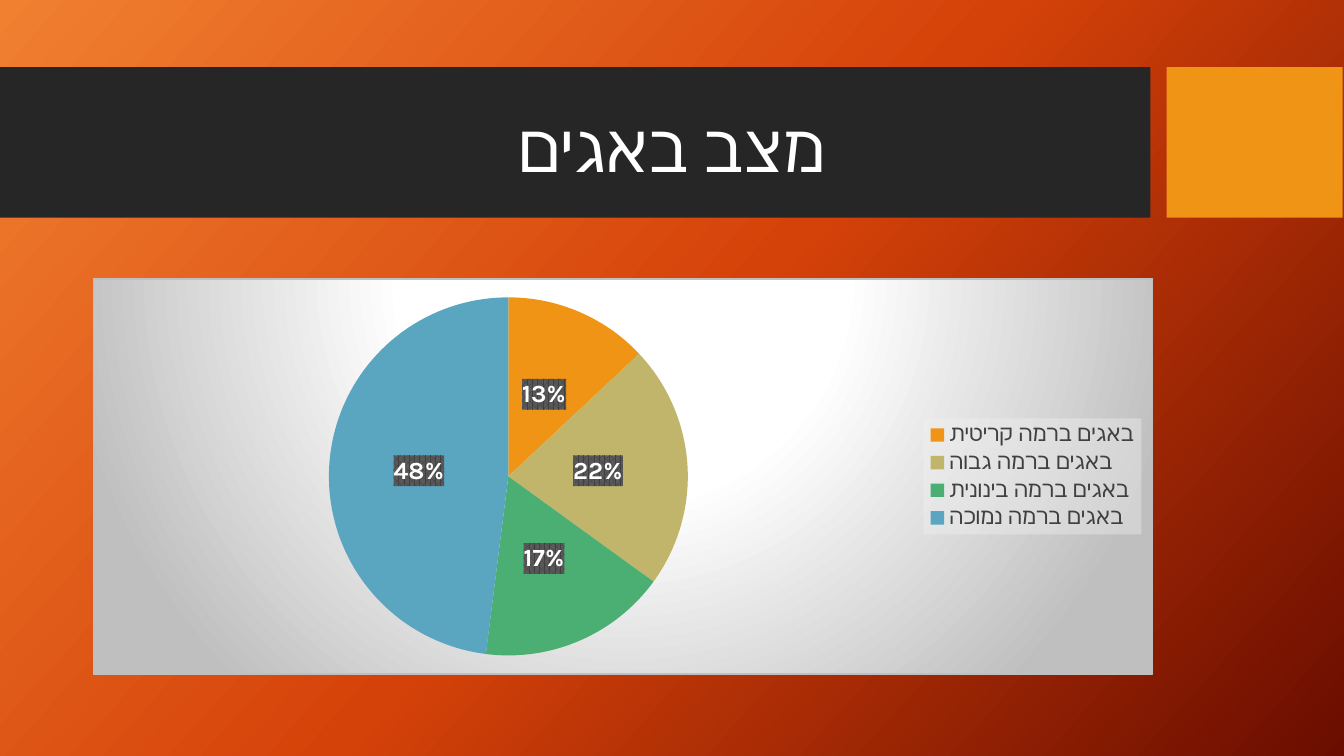
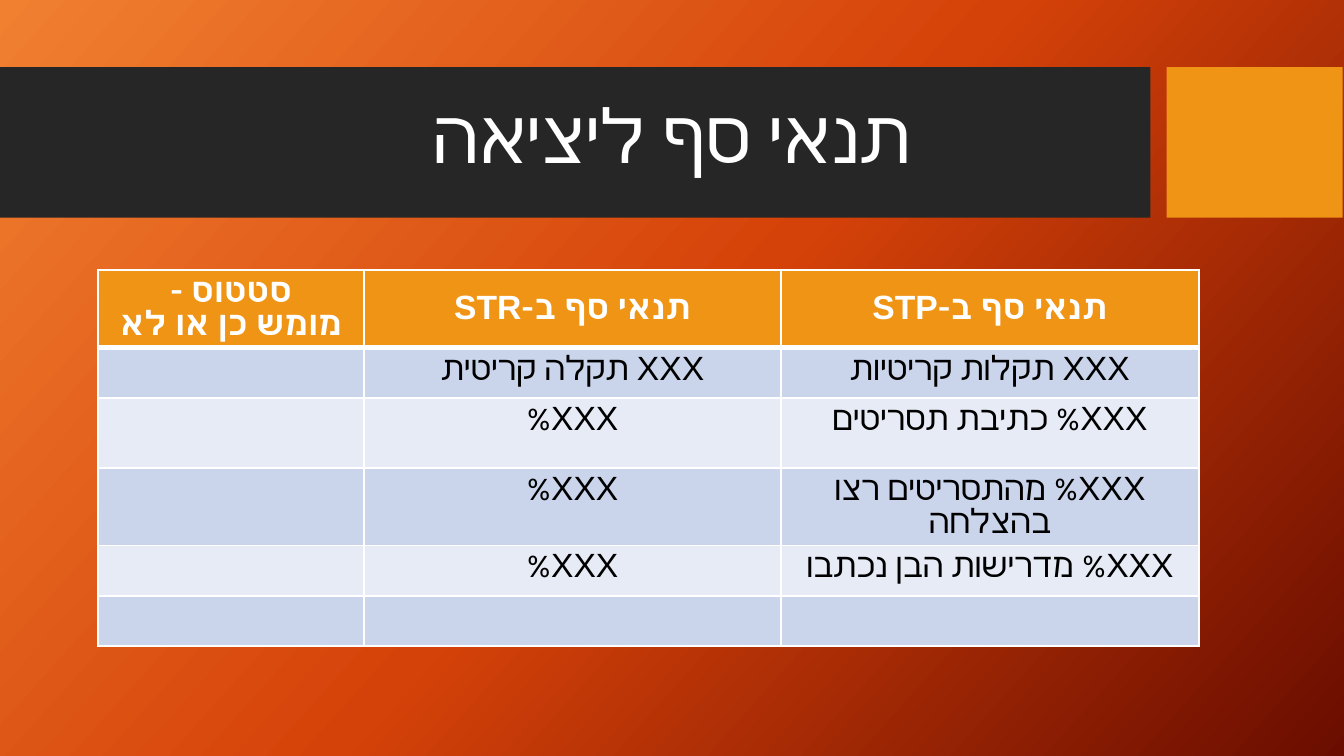
from lxml import etree
from pptx import Presentation
from pptx.chart.data import CategoryChartData
from pptx.dml.color import RGBColor
from pptx.enum.chart import XL_CHART_TYPE, XL_LABEL_POSITION, XL_LEGEND_POSITION
from pptx.enum.shapes import MSO_SHAPE
from pptx.enum.text import MSO_ANCHOR, MSO_AUTO_SIZE, PP_ALIGN
from pptx.oxml import parse_xml
from pptx.oxml.ns import nsdecls, qn
from pptx.util import Inches, Pt

PIE = XL_CHART_TYPE.PIE
RIGHT = XL_LEGEND_POSITION.RIGHT
MID_PIE = XL_LABEL_POSITION.CENTER
RECT = MSO_SHAPE.RECTANGLE
CENTER = PP_ALIGN.CENTER
MIDDLE, BOTTOM = MSO_ANCHOR.MIDDLE, MSO_ANCHOR.BOTTOM
NO_FIT = MSO_AUTO_SIZE.NONE

WIDE = 10
HIGH = WIDE * 9 / 16
WHITE, BLACK, DARK, ORANGE = "FFFFFF", "000000", "262626", "F09415"
FONT, PLAIN, SERIF = "Karla", "Arial", "TeX Gyre Pagella"
BACK = [(0, "F18031"), (50, "D54209"), (100, "6A0D00")]
BANDS = [((0, 0.5, 8.56, 1.12), DARK), ((8.68, 0.5, 1.31, 1.12), ORANGE)]

BUGS = [
    ("באגים ברמה קריטית", 13, ORANGE),
    ("באגים ברמה גבוה", 22, "C1B56B"),
    ("באגים ברמה בינונית", 17, "4BAF73"),
    ("באגים ברמה נמוכה", 48, "5AA6C0"),
]
PANEL = [(0, WHITE), (39, WHITE), (100, "BFBFBF")]

HEAD = [
    [("סטטוס -", PLAIN), ("מומש כן או לא", SERIF)],
    [("תנאי סף ב-STR", PLAIN)],
    [("תנאי סף ב-STP", PLAIN)],
]
TERMS = [
    ("", "XXX תקלה קריטית", "XXX תקלות קריטיות"),
    ("", "XXX%", "XXX% כתיבת תסריטים"),
    ("", "XXX%", "XXX% מהתסריטים רצו בהצלחה"),
    ("", "XXX%", "XXX% מדרישות הבן נכתבו"),
    ("", "", ""),
]
COLS = [1.98, 3.1, 3.11]
ROWS = [0.57, 0.32, 0.52, 0.32, 0.32, 0.32]
STRIPES = ["CAD4EA", "E6EBF5"]


def rgb(code):
    return RGBColor.from_string(code)


def box(*nums):
    return [Inches(n) for n in nums]


def style(font, size, color, name=FONT, bold=False):
    font.size, font.name, font.bold = Pt(size), name, bold
    font.color.rgb = rgb(color)


def grad(stops, shade):
    marks = "".join(
        f'<a:gs pos="{pos * 1000}"><a:srgbClr val="{code}"/></a:gs>'
        for pos, code in stops)
    return (f'<a:gradFill {nsdecls("a")} rotWithShape="1">'
            f"<a:gsLst>{marks}</a:gsLst>{shade}</a:gradFill>")


def chart_fill(fill, line="<a:ln><a:noFill/></a:ln>"):
    return parse_xml(f'<c:spPr {nsdecls("c", "a")}>{fill}{line}</c:spPr>')


def to_rtl(shape):
    """Set right-to-left paragraphs and the complex-script font."""
    for par in shape.element.iter(qn("a:pPr")):
        par.set("rtl", "1")
    for latin in list(shape.element.iter(qn("a:latin"))):
        script = etree.Element(qn("a:cs"))
        script.set("typeface", FONT)
        latin.addnext(script)


def write(par, text, size, color, name=FONT, bold=False, gap=0.9):
    par.alignment, par.line_spacing = CENTER, gap
    run = par.add_run()
    run.text = text
    style(run.font, size, color, name, bold)


def dress(layout, slide):
    """Give the layout its background and bands."""
    layout.background.fill.solid()
    solid = layout.element.find(".//" + qn("p:bgPr")).find(qn("a:solidFill"))
    shade = f'<a:lin ang="{42 * 60000}" scaled="0"/>'
    solid.getparent().replace(solid, parse_xml(grad(BACK, shade)))
    for spot, (place, color) in enumerate(BANDS, 2):
        band = slide.shapes.add_shape(RECT, *box(*place))
        band.shadow.inherit = False
        band.fill.solid()
        band.fill.fore_color.rgb = rgb(color)
        band.line.fill.background()
        layout.shapes.element.insert(spot, band.element)


def add_title(slide, text, size, place):
    title = slide.shapes.title
    title.left, title.top, title.width, title.height = box(*place)
    frame = title.text_frame
    frame.word_wrap, frame.auto_size = True, NO_FIT
    frame.vertical_anchor = BOTTOM
    frame.margin_left = frame.margin_right = frame.margin_bottom = 0
    frame.margin_top = Inches(0.05)
    write(frame.paragraphs[0], text, size, WHITE)
    to_rtl(title)


def add_pie(slide):
    data = CategoryChartData()
    data.categories = [name for name, _, _ in BUGS]
    data.add_series("Series 1", [val for _, val, _ in BUGS])
    chart = slide.shapes.add_chart(PIE, *box(0.69, 2.07, 7.89, 2.95), data).chart
    style(chart.font, 10, WHITE)
    chart.has_title = False
    chart.has_legend = True
    legend = chart.legend
    legend.position, legend.include_in_layout = RIGHT, False
    style(legend.font, 12, "404040")

    plot = chart.plots[0]
    plot.vary_by_categories = True
    series = plot.series[0]
    for spot, (_, _, color) in enumerate(BUGS):
        fill = series.points[spot].format.fill
        fill.solid()
        fill.fore_color.rgb = rgb(color)
    labels = series.data_labels
    labels.show_percentage, labels.show_value = True, False
    labels.number_format, labels.number_format_is_linked = "0%", False
    labels.position = MID_PIE
    style(labels.font, 13.3, WHITE, bold=True)

    root = chart.element
    shade = ('<a:path path="circle"><a:fillToRect l="50000" t="-80000" '
             'r="50000" b="180000"/></a:path>')
    edge = ('<a:ln w="9525"><a:solidFill><a:srgbClr val="BFBFBF"/>'
            "</a:solidFill></a:ln>")
    root.find(qn("c:chart")).addnext(chart_fill(grad(PANEL, shade), edge))
    pale = ('<a:solidFill><a:srgbClr val="F2F2F2"><a:alpha val="39000"/>'
            "</a:srgbClr></a:solidFill>")
    weave = ('<a:pattFill prst="pct75"><a:fgClr><a:srgbClr val="404040"/></a:fgClr>'
             '<a:bgClr><a:srgbClr val="595959"/></a:bgClr></a:pattFill>')
    for tag, fill in (("c:legend", pale), ("c:dLbls", weave)):
        part = root.find(".//" + qn(tag))
        part.find(qn("c:txPr")).addprevious(chart_fill(fill))


def rule(props, top, base):
    """Draw the four white borders of a cell."""
    widths = {"L": 1, "R": 1, "T": top, "B": base}
    for spot, (side, width) in enumerate(widths.items()):
        props.insert(spot, parse_xml(
            f'<a:ln{side} {nsdecls("a")} w="{Pt(width)}"><a:solidFill>'
            f'<a:srgbClr val="{WHITE}"/></a:solidFill></a:ln{side}>'))


def add_terms(slide):
    frame = slide.shapes.add_table(
        len(ROWS), len(COLS), *box(0.73, 2.01, sum(COLS), sum(ROWS)))
    table = frame.table
    for col, width in zip(table.columns, COLS):
        col.width = Inches(width)
    for row, height in zip(table.rows, ROWS):
        row.height = Inches(height)
    body = [[[(text, PLAIN)] if text else [] for text in row] for row in TERMS]
    for r, row in enumerate([HEAD] + body):
        head = r == 0
        for c, lines in enumerate(row):
            cell = table.cell(r, c)
            cell.fill.solid()
            cell.fill.fore_color.rgb = rgb(ORANGE if head else STRIPES[(r - 1) % 2])
            cell.margin_left = cell.margin_right = Inches(0.1)
            cell.margin_top = cell.margin_bottom = Inches(0.04)
            if head:
                cell.vertical_anchor = MIDDLE
            text = cell.text_frame
            for n, (line, name) in enumerate(lines):
                par = text.add_paragraph() if n else text.paragraphs[0]
                write(par, line, 18, WHITE if head else BLACK, name, head, 0.85)
            if not lines:
                text.paragraphs[0]._p.append(parse_xml(
                    f'<a:endParaRPr {nsdecls("a")} sz="1800">'
                    f'<a:latin typeface="{FONT}"/></a:endParaRPr>'))
    for spot, props in enumerate(frame.element.iter(qn("a:tcPr"))):
        r = spot // len(COLS)
        rule(props, 3 if r == 1 else 1, 3 if r == 0 else 1)
    to_rtl(frame)


def main():
    deck = Presentation()
    deck.slide_width, deck.slide_height = box(WIDE, HIGH)
    layout = deck.slide_layouts[5]
    bugs, terms = [deck.slides.add_slide(layout) for _ in range(2)]
    dress(layout, bugs)
    add_title(bugs, "מצב באגים", 36, (0.06, 0.74, 9.88, 0.65))
    add_pie(bugs)
    add_title(terms, "תנאי סף ליציאה", 40, (0.5, 0.76, 9, 0.58))
    add_terms(terms)
    deck.save("out.pptx")


if __name__ == "__main__":
    main()
